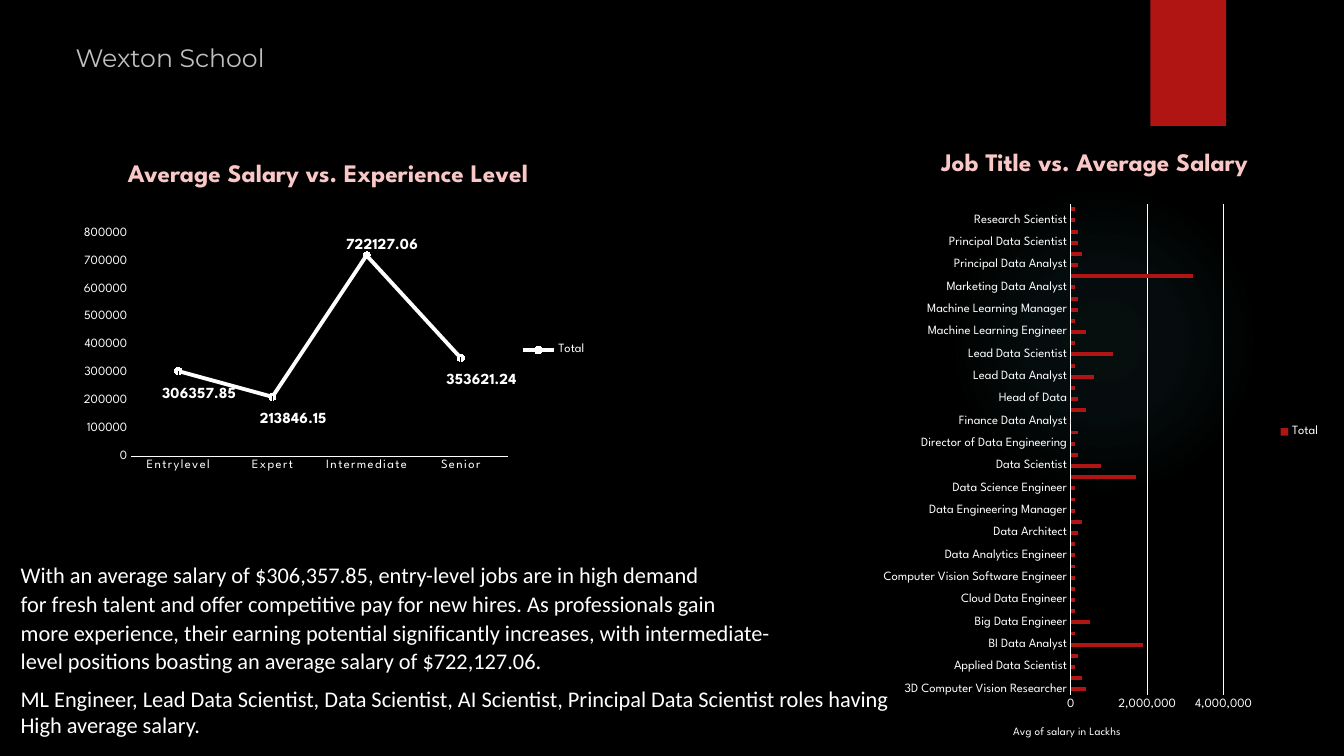
import pptx
import pptx.util
import pptx.chart.data
import pptx.dml.color
import pptx.enum.chart
import pptx.enum.shapes
import pptx.enum.text
import pptx.oxml

Pt = pptx.util.Pt
enum = pptx.enum.chart

SPARTAN = "League Spartan"
WHITE, RED, PINK, GREY = "FFFFFF", "B01513", "F9C7C6", "BFBFBF"

NAME = ["Wexton School"]
HEADS = [
    ("Average Salary vs. Experience Level", (84.2, 108.7, 331, 51)),
    ("Job Title vs. Average Salary", (665.3, 100.8, 255, 51)),
]
SALARY = [
    "With an average salary of $306,357.85, entry-level jobs are in high demand",
    "for fresh talent and offer competitive pay for new hires. As professionals gain",
    "more experience, their earning potential significantly increases, with intermediate-",
    "level positions boasting an average salary of $722,127.06.",
]
ROLES = [
    "ML Engineer, Lead Data Scientist, Data Scientist, AI Scientist, Principal Data Scientist roles having",
    "High average salary.",
]
LEVELS = {"Entrylevel": 306357.85, "Expert": 213846.15,
          "Intermediate": 722127.06, "Senior": 353621.24}
SHIFTS = [(0.04, 0.09), (0.04, 0.09), (0.03, -0.04), (0.04, 0.09)]
JOBS = {
    "3D Computer Vision Researcher": 4, "AI Scientist": 3,
    "Applied Data Scientist": 1, "Applied Machine Learning Scientist": 2,
    "BI Data Analyst": 19, "Big Data Architect": 1, "Big Data Engineer": 5,
    "Business Data Analyst": 1, "Cloud Data Engineer": 1,
    "Computer Vision Engineer": 1, "Computer Vision Software Engineer": 1,
    "Data Analyst": 1, "Data Analytics Engineer": 1,
    "Data Analytics Manager": 1, "Data Architect": 2, "Data Engineer": 3,
    "Data Engineering Manager": 1, "Data Science Consultant": 1,
    "Data Science Engineer": 1, "Data Science Manager": 17,
    "Data Scientist": 8, "Data Specialist": 2,
    "Director of Data Engineering": 1, "Director of Data Science": 2,
    "Finance Data Analyst": 0, "Financial Data Analyst": 4,
    "Head of Data": 2, "Head of Data Science": 1, "Lead Data Analyst": 6,
    "Lead Data Engineer": 1, "Lead Data Scientist": 11,
    "Machine Learning Developer": 1, "Machine Learning Engineer": 4,
    "Machine Learning Infrastructure Engineer": 1,
    "Machine Learning Manager": 2, "Machine Learning Scientist": 2,
    "Marketing Data Analyst": 1, "ML Engineer": 32,
    "Principal Data Analyst": 2, "Principal Data Engineer": 3,
    "Principal Data Scientist": 2, "Product Data Analyst": 2,
    "Research Scientist": 1, "Staff Data Scientist": 1,
}
UNIT = 100000
GLOW = [(0, 7), (36, 6), (69, 0), (100, 0)]

A = 'xmlns:a="http://schemas.openxmlformats.org/drawingml/2006/main"'
C = 'xmlns:c="http://schemas.openxmlformats.org/drawingml/2006/chart"'


def rgb(code):
    return pptx.dml.color.RGBColor.from_string(code)


def place(shape, box):
    shape.left, shape.top, shape.width, shape.height = map(Pt, box)


def style(font, size, color=WHITE, bold=False, face=SPARTAN):
    font.size, font.bold, font.name = Pt(size), bold, face
    font.color.rgb = rgb(color)


def write(shape, lines, box, size, color, face, bold=False, gap=None):
    place(shape, box)
    frame = shape.text_frame
    frame.word_wrap = True
    frame.auto_size = pptx.enum.text.MSO_AUTO_SIZE.NONE
    frame.vertical_anchor = pptx.enum.text.MSO_ANCHOR.TOP
    frame.text = "\n".join(lines)
    for para in frame.paragraphs:
        para.alignment = pptx.enum.text.PP_ALIGN.LEFT
        para.space_before = Pt(0)
        para.line_spacing = gap
        if shape.is_placeholder:
            props = para._p.get_or_add_pPr()
            props.set("marL", "0")
            props.set("indent", "0")
            props.append(pptx.oxml.parse_xml(f"<a:buNone {A}/>"))
        for run in para.runs:
            style(run.font, size, color, bold, face)
    return frame


def layout(x, y, w=None, h=None, edge=False):
    body = '<c:layoutTarget val="inner"/>' if w else ""
    if edge or w:
        body += '<c:xMode val="edge"/><c:yMode val="edge"/>'
    for key, val in zip("xywh", (x, y, w, h)):
        if val is not None:
            body += f'<c:{key} val="{val}"/>'
    return pptx.oxml.parse_xml(
        f"<c:layout {C}><c:manualLayout>{body}</c:manualLayout></c:layout>")


def clear(chart):
    return pptx.oxml.parse_xml(
        f"<c:spPr {C} {A}><a:noFill/><a:ln><a:noFill/></a:ln></c:spPr>")


def draw(slide, kind, data, box, area, width):
    feed = pptx.chart.data.CategoryChartData()
    feed.categories = list(data)
    feed.add_series("Total", list(data.values()))
    chart = slide.shapes.add_chart(kind, *map(Pt, box), feed).chart
    style(chart.font, 10)
    chart.has_title = False
    chart.has_legend = True
    chart.legend.position = enum.XL_LEGEND_POSITION.RIGHT
    chart.legend.include_in_layout = False
    style(chart.legend.font, 9)
    root = chart._chartSpace
    root.chart.addnext(clear(chart))
    plot = root.chart.plotArea
    for old in plot.findall(pptx.oxml.ns.qn("c:layout")):
        plot.remove(old)
    plot.insert(0, layout(*area))
    plot.append(clear(chart))
    chart.plots[0].vary_by_categories = False
    for axis in (chart.category_axis, chart.value_axis):
        axis.major_tick_mark = axis.minor_tick_mark = enum.XL_TICK_MARK.NONE
        style(axis.tick_labels.font, 9)
    chart.category_axis.format.line.color.rgb = rgb(WHITE)
    chart.category_axis.format.line.width = Pt(width)
    chart.value_axis.format.line.fill.background()
    return chart


def trend(slide):
    chart = draw(slide, enum.XL_CHART_TYPE.LINE_MARKERS, LEVELS,
                 (52.6, 159.8, 373.7, 180.7), (0.11, 0.04, 0.72, 0.88), 1)
    axis = chart.value_axis
    axis.has_major_gridlines = False
    axis.minimum_scale, axis.maximum_scale, axis.major_unit = 0, 800000, 100000
    axis.tick_labels.number_format = "0"
    axis.tick_labels.number_format_is_linked = False
    chart.category_axis.tick_labels.font._element.set("spc", "100")
    line = chart.plots[0].series[0]
    line.smooth = False
    line.format.line.color.rgb = rgb(WHITE)
    line.format.line.width = Pt(2.75)
    mark = line.marker
    mark.style, mark.size = enum.XL_MARKER_STYLE.CIRCLE, 5
    mark.format.fill.solid()
    mark.format.fill.fore_color.rgb = rgb(WHITE)
    mark.format.line.color.rgb = rgb(WHITE)
    for num, shift in enumerate(SHIFTS):
        label = line.points[num].data_label
        style(label.font, 11, bold=True)
        label.position = enum.XL_LABEL_POSITION.CENTER
        label._dLbl.insert(1, layout(*shift))


def ranks(slide):
    data = {job: val * UNIT for job, val in JOBS.items()}
    chart = draw(slide, enum.XL_CHART_TYPE.BAR_CLUSTERED, data,
                 (588.2, 77, 362.2, 463), (0.488, 0.148, 0.301, 0.758), 0.75)
    plot = chart.plots[0]
    plot.gap_width = 182
    fill = plot.series[0].format.fill
    fill.solid()
    fill.fore_color.rgb = rgb(RED)
    axis = chart.value_axis
    axis.minimum_scale, axis.maximum_scale, axis.major_unit = 0, 4000000, 2000000
    axis.tick_labels.number_format = "#,##0"
    axis.tick_labels.number_format_is_linked = False
    grid = axis.major_gridlines.format.line
    grid.color.rgb, grid.width = rgb(WHITE), Pt(0.75)
    frame = axis.axis_title.text_frame
    frame.text = "Avg of salary in Lackhs"
    style(frame.paragraphs[0].runs[0].font, 8)
    title = axis.axis_title._element
    for old in title.findall(pptx.oxml.ns.qn("c:layout")):
        title.remove(old)
    title[0].addnext(layout(0.37, 0.95, edge=True))


def block(slide, kind, box):
    shape = slide.shapes.add_shape(kind, *map(Pt, box))
    shape.shadow.inherit = False
    shape.line.fill.background()
    return shape


def main():
    deck = pptx.Presentation()
    deck.slide_width, deck.slide_height = Pt(960), Pt(540)
    slide = deck.slides.add_slide(deck.slide_layouts[3])
    back = slide.background.fill
    back.solid()
    back.fore_color.rgb = rgb("000000")
    kinds = pptx.enum.shapes.MSO_SHAPE
    glow = block(slide, kinds.OVAL, (677.5, 131.8, 221.8, 221.8))
    stops = "".join(
        f'<a:gs pos="{pos}000"><a:srgbClr val="50B9C1">'
        f'<a:alpha val="{alpha}000"/></a:srgbClr></a:gs>' for pos, alpha in GLOW)
    glow._element.spPr.insert(2, pptx.oxml.parse_xml(
        f'<a:gradFill {A}><a:gsLst>{stops}</a:gsLst><a:path path="circle">'
        '<a:fillToRect l="50000" t="50000" r="50000" b="50000"/></a:path></a:gradFill>'))
    flag = block(slide, kinds.RECTANGLE, (821.8, 0, 54, 90))
    flag.fill.solid()
    flag.fill.fore_color.rgb = rgb(RED)
    trend(slide)
    ranks(slide)
    for text, box in HEADS:
        write(slide.shapes.add_textbox(0, 0, 0, 0), [text], box, 18, PINK, SPARTAN, True)
    title, first, last = slide.placeholders
    frame = write(title, NAME, (54, 10, 170, 37.5), 18, GREY, "Montserrat", gap=Pt(42))
    frame.margin_left = frame.margin_right = frame.margin_top = frame.margin_bottom = 0
    write(first, SALARY, (7.6, 396, 558, 89.5), 16, WHITE, "Calibri", gap=1.07)
    write(last, ROLES, (7.5, 485.5, 650, 46), 16, WHITE, "Calibri", gap=1.0)


    deck.save("out.pptx")


if __name__ == "__main__":
    main()
